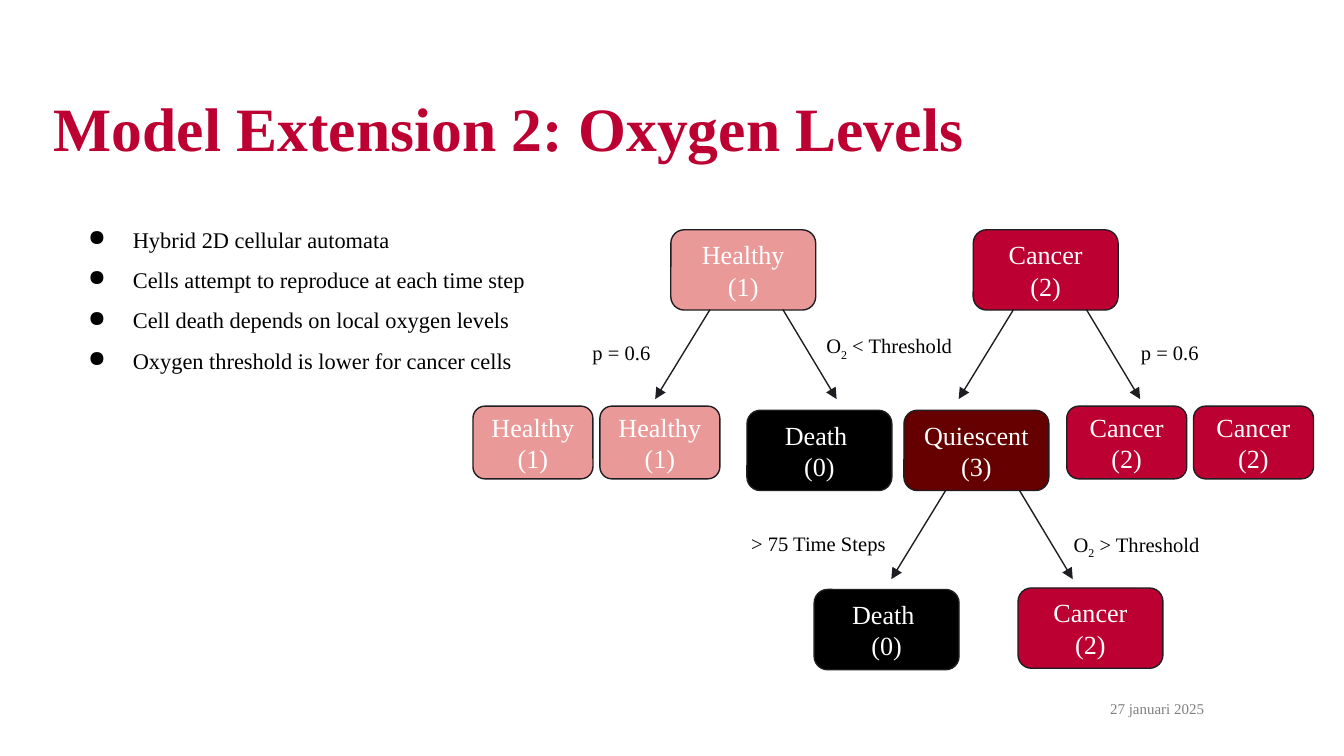
import pptx
import pptx.dml.color
import pptx.enum.shapes
import pptx.enum.text
import pptx.util
from lxml import etree
from pptx.oxml.ns import qn

Pt = pptx.util.Pt
RGBColor = pptx.dml.color.RGBColor
Align = pptx.enum.text.PP_ALIGN
Anchor = pptx.enum.text.MSO_ANCHOR

FONT = "Times New Roman"
CRIMSON = RGBColor(0xBC, 0x00, 0x31)
PINK = RGBColor(0xEA, 0x99, 0x99)
MAROON = RGBColor(0x66, 0x00, 0x00)
BLACK = RGBColor(0x00, 0x00, 0x00)
WHITE = RGBColor(0xFF, 0xFF, 0xFF)
GRAY = RGBColor(0x7F, 0x7F, 0x7F)
OUTLINE = RGBColor(0x1F, 0x1D, 0x21)

deck = pptx.Presentation()
deck.slide_width = Pt(720)
deck.slide_height = Pt(405)
page = deck.slides.add_slide(deck.slide_layouts[6])


def set_text(box, paragraphs, size, color, align=Align.LEFT,
             anchor=Anchor.TOP, inset=7.2, bold=False):
    """Fill a box; each paragraph is a list of run texts, odd runs subscript."""
    frame = box.text_frame
    frame.word_wrap = True
    frame.vertical_anchor = anchor
    frame.margin_left = frame.margin_right = Pt(inset)
    frame.margin_top = frame.margin_bottom = Pt(inset)
    for number, runs in enumerate(paragraphs):
        para = frame.add_paragraph() if number else frame.paragraphs[0]
        para.alignment = align
        for position, text in enumerate(runs):
            span = para.add_run()
            span.text = text
            span.font.name = FONT
            span.font.size = Pt(size)
            span.font.bold = bold
            span.font.color.rgb = color
            if position % 2:
                span.font._element.set("baseline", "-25000")


def add_text(left, top, width, height, paragraphs, size, color, **options):
    box = page.shapes.add_textbox(Pt(left), Pt(top), Pt(width), Pt(height))
    set_text(box, paragraphs, size, color, **options)
    return box


# Date, title and bullets
add_text(572.4, 375.1, 72.7, 8.6, [["27 januari 2025"]], 8, GRAY,
         align=Align.RIGHT, anchor=Anchor.MIDDLE, inset=0)
add_text(28.8, 41.8, 660, 52.6, [["Model Extension 2: Oxygen Levels"]], 33, CRIMSON,
         anchor=Anchor.MIDDLE, inset=0, bold=True)

bullets = add_text(28.1, 106.6, 272.9, 98.6, [
    ["Hybrid 2D cellular automata"],
    ["Cells attempt to reproduce at each time step"],
    ["Cell death depends on local oxygen levels"],
    ["Oxygen threshold is lower for cancer cells"],
], 12, BLACK)
for para in bullets.text_frame.paragraphs:
    para.line_spacing = 1.5
    properties = para._p.get_or_add_pPr()
    properties.set("marL", str(Pt(36)))
    properties.set("indent", str(-Pt(24)))
    bullet_color = etree.SubElement(properties, qn("a:buClr"))
    etree.SubElement(bullet_color, qn("a:srgbClr"), val=str(BLACK))
    etree.SubElement(properties, qn("a:buChar"), char="●")

# Cell states: left, top, size, fill, paragraphs
LARGE = (77.6, 43)
SMALL = (64.3, 39)
HEALTHY = (PINK, [["Healthy (1)"]])
CANCER = (CRIMSON, [["Cancer (2)"]])
DEATH = (BLACK, [["Death "], ["(0)"]])
QUIESCENT = (MAROON, [["Quiescent "], ["(3)"]])
states = [
    (359.4, 123.1, LARGE, HEALTHY),
    (521.4, 123.1, LARGE, CANCER),
    (253.4, 217.6, SMALL, HEALTHY),
    (321.4, 217.6, SMALL, HEALTHY),
    (400.2, 219.8, LARGE, DEATH),
    (484.3, 219.8, LARGE, QUIESCENT),
    (571.5, 217.6, SMALL, CANCER),
    (639.4, 217.6, SMALL, CANCER),
    (436.2, 315.8, LARGE, DEATH),
    (545.4, 315, LARGE, CANCER),
]
for left, top, (width, height), (fill, paragraphs) in states:
    state = page.shapes.add_shape(pptx.enum.shapes.MSO_SHAPE.ROUNDED_RECTANGLE,
                                  Pt(left), Pt(top), Pt(width), Pt(height))
    state.shadow.inherit = False
    state.fill.solid()
    state.fill.fore_color.rgb = fill
    state.line.color.rgb = OUTLINE
    state.line.width = Pt(0.75)
    set_text(state, paragraphs, 14, WHITE, align=Align.CENTER, anchor=Anchor.MIDDLE)

# Each fork has one arrow down to the left and one down to the right
for fork_left, fork_top in [(380.4, 165.8), (543, 165.8), (506.9, 262.3)]:
    for start, end in [(0, -29.4), (39, 67.8)]:
        arrow = page.shapes.add_connector(
            pptx.enum.shapes.MSO_CONNECTOR.STRAIGHT,
            Pt(fork_left + start), Pt(fork_top),
            Pt(fork_left + end), Pt(fork_top + 48))
        arrow.line.color.rgb = OUTLINE
        arrow.line.width = Pt(0.75)
        etree.SubElement(arrow.line._get_or_add_ln(), qn("a:tailEnd"), type="triangle")
        etree.SubElement(arrow._element.spPr, qn("a:effectLst"))

# Conditions beside the arrows
conditions = [
    (435.6, 171.4, 90.7, ["O", "2", " < Threshold"]),
    (568.1, 277.9, 90.7, ["O", "2", " > Threshold"]),
    (395.3, 277.9, 131.8, ["> 75 Time Steps"]),
    (604.1, 175.7, 90.7, ["p = 0.6"]),
    (310.3, 175.7, 90.7, ["p = 0.6"]),
]
for left, top, width, runs in conditions:
    add_text(left, top, width, 15.1, [runs], 11, BLACK)

deck.save("out.pptx")
